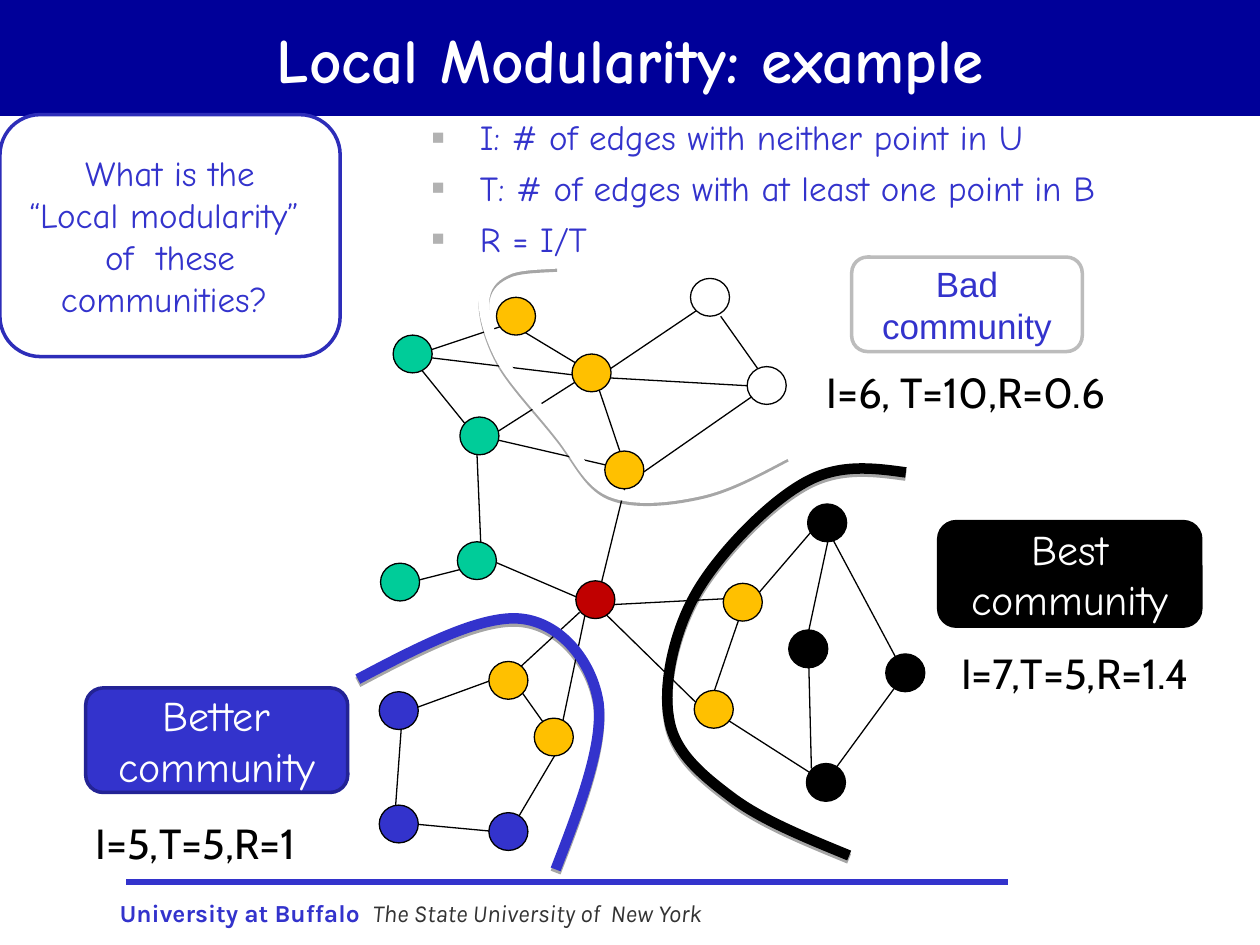
from lxml import etree
from pptx import Presentation
from pptx.dml.color import RGBColor
from pptx.enum.shapes import MSO_CONNECTOR, MSO_SHAPE
from pptx.enum.text import MSO_ANCHOR, PP_ALIGN
from pptx.oxml.ns import qn
from pptx.util import Inches, Pt

LINE = MSO_CONNECTOR.STRAIGHT
RECT, ROUND, OVAL = MSO_SHAPE.RECTANGLE, MSO_SHAPE.ROUNDED_RECTANGLE, MSO_SHAPE.OVAL
MIDDLE, LEFT, CENTER = MSO_ANCHOR.MIDDLE, PP_ALIGN.LEFT, PP_ALIGN.CENTER
rgb = RGBColor.from_string
BLUE, NAVY, BLACK, WHITE = "3333CC", "000099", "000000", "FFFFFF"
GREEN, GOLD, RED = "00CC99", "FFC000", "C00000"
HAND = "Comic Neue"

deck = Presentation()
deck.slide_width, deck.slide_height = Inches(10), Inches(7.5)
shapes = deck.slides.add_slide(deck.slide_layouts[6]).shapes


def paint(shape, line, width, fill=None):
    """Set line and fill; return the effect list, which is empty."""
    if fill:
        shape.fill.solid()
        shape.fill.fore_color.rgb = rgb(fill)
    shape.line.color.rgb = rgb(line)
    shape.line.width = Pt(width)
    return etree.SubElement(shape._element.spPr, qn("a:effectLst"))


def write(shape, text, size, font, color, align=LEFT):
    """Fill the shape with text, one paragraph per line."""
    frame = shape.text_frame
    frame.text = text
    for par in frame.paragraphs:
        par.alignment = align
        for run in par.runs:
            run.font.size = Pt(size)
            run.font.name = font
            run.font.color.rgb = rgb(color)
    return frame


# Title bar
bar = shapes.add_shape(RECT, 0, 0, Inches(10), Inches(0.92))
paint(bar, NAVY, 0.75, NAVY)
bar.line.fill.background()
frame = write(bar, "Local Modularity: example", 36, HAND, WHITE, CENTER)
frame.vertical_anchor = MIDDLE
frame.paragraphs[0].runs[0].font.bold = True

# Footer rule and edges of the graph: x1, y1, x2, y2
rule = shapes.add_connector(LINE, Inches(1), Inches(7), Inches(8), Inches(7))
paint(rule, BLUE, 3)
edges = [
    (4.13, 2.54, 3.26, 2.83), (3.81, 4.48, 3.22, 4.63), (7.18, 5.35, 6.55, 4.17),
    (4.67, 2.99, 3.34, 2.83), (4.69, 2.9, 4.99, 3.79), (5, 3.7, 4.75, 4.72),
    (5.61, 2.41, 4.75, 2.99), (3.78, 3.47, 3.82, 4.41), (3.81, 3.51, 3.26, 2.83),
    (4.98, 3.73, 3.81, 3.46), (6.08, 3.07, 5.06, 3.78), (4.58, 4.74, 3.81, 4.41),
    (4.75, 2.99, 4.12, 2.61), (4.09, 5.33, 3.24, 5.64), (3.19, 5.71, 3.13, 6.53),
    (4.66, 4.8, 4.43, 5.9), (4.43, 5.9, 4.04, 5.35), (4.68, 4.75, 5.61, 5.66),
    (4.6, 4.86, 4.09, 5.33), (6.55, 4.09, 6.01, 4.72), (7.18, 5.35, 6.55, 6.21),
    (5.89, 4.84, 5.66, 5.51), (6.55, 6.21, 5.69, 5.66), (5.79, 4.75, 4.83, 4.8),
    (4.6, 3.01, 3.88, 3.47), (5.72, 2.51, 6.13, 3.09), (4.43, 5.95, 4.04, 6.61),
    (4.04, 6.61, 3.18, 6.53), (6.08, 3.07, 4.67, 2.99), (6.57, 4.3, 6.42, 5),
    (6.42, 5.3, 6.44, 6.1),
]
for ends in edges:
    edge = shapes.add_connector(LINE, *map(Inches, ends))
    paint(edge, BLACK, 0.75)

# Borders of the communities: a start, then two controls and an end per Bezier piece
curves = [
    (BLUE, [(2.84, 5.39), (3.33, 5.13), (3.82, 4.88), (4.13, 4.91),
            (4.45, 4.94), (4.7, 5.25), (4.75, 5.58),
            (4.79, 5.91), (4.6, 6.41), (4.41, 6.9)]),
    (BLACK, [(7.19, 3.75), (6.91, 3.71), (6.64, 3.68), (6.37, 3.84),
             (6.09, 4), (5.71, 4.39), (5.53, 4.7),
             (5.35, 5.01), (5.26, 5.43), (5.31, 5.7),
             (5.35, 5.97), (5.57, 6.15), (5.81, 6.33),
             (6.05, 6.51), (6.4, 6.65), (6.74, 6.79)]),
    (WHITE, [(4.42, 2.09), (4.26, 2.1), (4.1, 2.1), (4.01, 2.15),
             (3.91, 2.2), (3.85, 2.27), (3.84, 2.39),
             (3.84, 2.51), (3.89, 2.69), (3.99, 2.87),
             (4.09, 3.04), (4.3, 3.26), (4.44, 3.44),
             (4.58, 3.61), (4.66, 3.82), (4.84, 3.9),
             (5.03, 3.98), (5.31, 3.95), (5.54, 3.9),
             (5.78, 3.85), (6.01, 3.72), (6.24, 3.6)]),
]
for color, knots in curves:
    first, *rest = [(Inches(x), Inches(y)) for x, y in knots]
    pen = shapes.build_freeform(*first)
    pen.add_line_segments(rest, close=False)
    curve = pen.convert_to_shape()
    legs = list(curve._element.iter(qn("a:lnTo")))
    for bend, mid, end in zip(legs[::3], legs[1::3], legs[2::3]):
        bend.tag = qn("a:cubicBezTo")
        for leg in (mid, end):
            bend.append(leg[0])
            leg.getparent().remove(leg)
    curve.fill.background()
    effects = paint(curve, color, 6)
    shade = etree.SubElement(effects, qn("a:outerShdw"), blurRad="0",
                             dist=str(Pt(1.8)), dir="5400000", rotWithShape="0")
    tone = etree.SubElement(shade, qn("a:srgbClr"), val=BLACK)
    etree.SubElement(tone, qn("a:alpha"), val="35000")

# Nodes: left and top by colour
nodes = {
    GREEN: [(3.65, 3.31), (3.12, 2.66), (3.63, 4.3), (3.02, 4.47)],
    BLUE: [(3.01, 5.49), (3.01, 6.39), (3.88, 6.45)],
    WHITE: [(5.93, 2.91), (5.48, 2.21)],
    BLACK: [(7.03, 5.19), (6.4, 6.06), (6.41, 4), (6.26, 5)],
    GOLD: [(4.24, 5.7), (3.88, 5.25), (5.74, 4.63), (5.51, 5.48),
           (4.8, 3.58), (4.54, 2.81), (3.94, 2.36)],
    RED: [(4.57, 4.61)],
}
for color, spots in nodes.items():
    for x, y in spots:
        node = shapes.add_shape(OVAL, Inches(x), Inches(y), Inches(0.31), Inches(0.3))
        paint(node, BLACK, 0.75, color)

# Rounded boxes
boxes = [
    ((0.68, 5.46, 2.08, 0.83), BLUE, "232395", "Better community", 24, HAND, WHITE),
    ((7.45, 4.14, 2.08, 0.83), BLACK, BLACK, "Best community", 24, HAND, WHITE),
    ((0, 0.91, 2.7, 1.92), WHITE, "2D2DB9",
     "What is the\n“Local modularity” \nof  these communities? ", 20, HAND, BLUE),
    ((6.76, 2.04, 1.83, 0.75), WHITE, "BCBCBC", "Bad community", 20, "Arial", BLUE),
]
for place, fill, line, text, size, font, color in boxes:
    box = shapes.add_shape(ROUND, *map(Inches, place))
    paint(box, line, 2, fill)
    write(box, text, size, font, color, CENTER).vertical_anchor = MIDDLE

# Scores and footer
labels = [
    ((6.46, 2.86, 2.58, 0.5), "I=6, T=10,R=0.6", 24, "Cabin", BLACK, False, False),
    ((0.66, 6.44, 2.03, 0.5), "I=5,T=5,R=1", 24, "Cabin", BLACK, False, False),
    ((7.53, 5.09, 2.31, 0.5), "I=7,T=5,R=1.4", 24, "Cabin", BLACK, False, False),
    ((0.85, 7.08, 2.21, 0.34), "University at Buffalo", 14, "Karla", BLUE, True, False),
    ((2.86, 7.08, 3.03, 0.34), "The State University of  New York", 14, "Karla",
     "333333", False, True),
]
for place, text, size, font, color, bold, italic in labels:
    label = shapes.add_textbox(*map(Inches, place))
    frame = write(label, text, size, font, color)
    frame.word_wrap = False
    face = frame.paragraphs[0].runs[0].font
    face.bold, face.italic = bold, italic

# Definitions
terms = shapes.add_textbox(Inches(2.83), Inches(0.87), Inches(7.17), Inches(1.24))
frame = write(terms, "I: # of edges with neither point in U\n"
              "T: # of edges with at least one point in B\nR = I/T", 20, HAND, BLUE)
frame.word_wrap = True
for i, par in enumerate(frame.paragraphs):
    par.level = 1
    par.space_before = Pt(5 if i else 0)
    props = par._p.get_or_add_pPr()
    props.set("marL", str(Inches(0.88)))
    props.set("indent", str(Inches(-0.38)))
    tint = etree.SubElement(props, qn("a:buClr"))
    etree.SubElement(tint, qn("a:srgbClr"), val="B2B2B2")
    etree.SubElement(props, qn("a:buSzPct"), val="60000")
    etree.SubElement(props, qn("a:buFont"), typeface="Arial")
    etree.SubElement(props, qn("a:buChar"), char="■")

deck.save("out.pptx")
